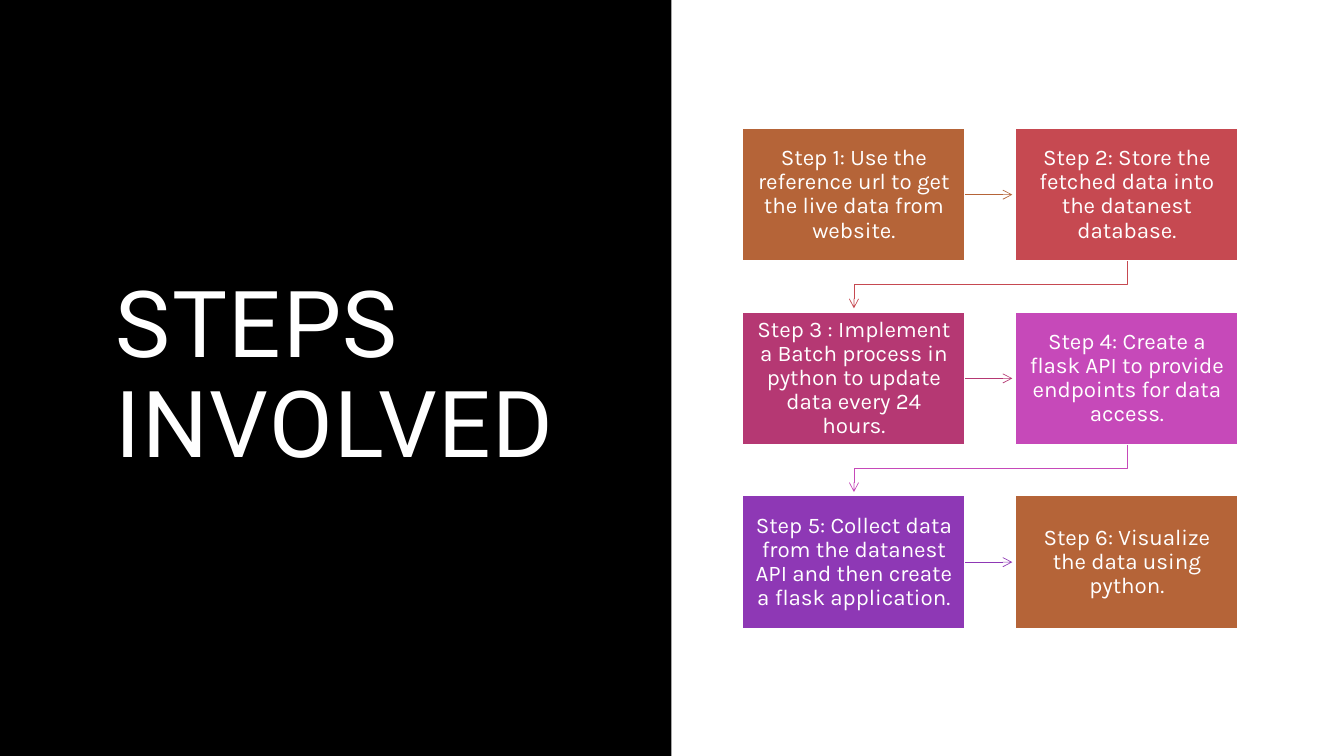
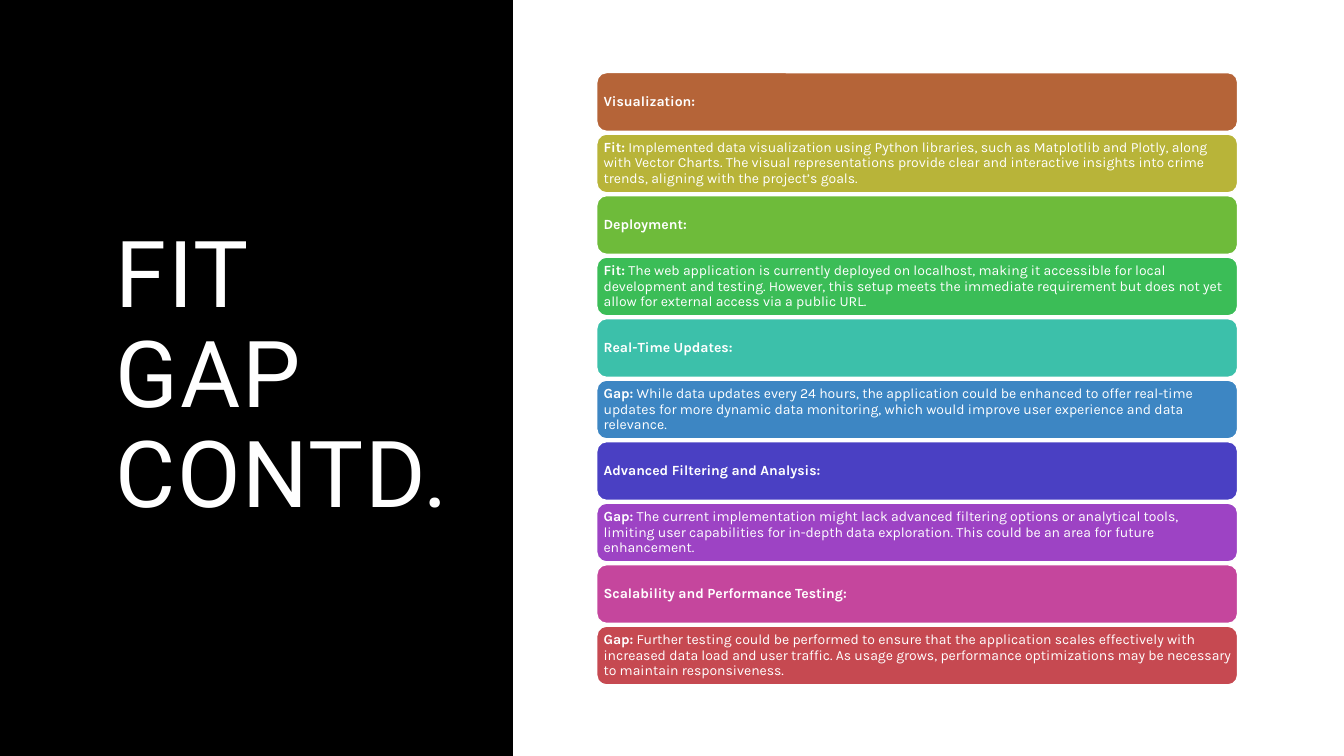
"""Build two slides: the project steps as a flow, and the fit-gap list."""
from lxml.etree import SubElement
from pptx import Presentation
from pptx.dml.color import RGBColor
from pptx.enum.shapes import MSO_CONNECTOR, MSO_SHAPE
from pptx.enum.text import MSO_ANCHOR, PP_ALIGN
from pptx.oxml.ns import qn
from pptx.util import Cm, Pt

BLACK, WHITE = "000000", "FFFFFF"
TITLE_FONT, BODY_FONT = "Roboto", "Karla"


def color(value):
    return RGBColor.from_string(value)


def add_box(page, kind, left, top, width, height, fill, outline=None):
    box = page.shapes.add_shape(kind, Cm(left), Cm(top), Cm(width), Cm(height))
    box.shadow.inherit = False
    box.fill.solid()
    box.fill.fore_color.rgb = color(fill)
    if outline:
        box.line.color.rgb = color(outline)
        box.line.width = Pt(1)
    else:
        box.line.fill.background()
    return box


deck = Presentation()
deck.slide_width, deck.slide_height = Cm(33.87), Cm(19.05)

pages = []
for title, panel_width, title_width in [
    ("STEPS INVOLVED", 16.92, 12.85),
    ("FIT GAP CONTD.", 12.93, 8.9),
]:
    page = deck.slides.add_slide(deck.slide_layouts[6])
    add_box(page, MSO_SHAPE.RECTANGLE, 0, 0, panel_width, 19.05, BLACK)
    box = page.shapes.add_textbox(Cm(2.67), Cm(1.78), Cm(title_width), Cm(15.47))
    frame = box.text_frame
    frame.word_wrap = True
    frame.vertical_anchor = MSO_ANCHOR.MIDDLE
    para = frame.paragraphs[0]
    para.line_spacing = 0.9
    span = para.add_run()
    span.text = title
    span.font.name = TITLE_FONT
    span.font.size = Pt(66)
    span.font.color.rgb = color(WHITE)
    span.font._element.set("spc", "120")
    pages.append(page)
steps_page, gap_page = pages

steps = [
    ("Step 1: Use the reference url to get the live data from website.", "B56438"),
    ("Step 2: Store the fetched data into the datanest database.", "C64951"),
    ("Step 3 : Implement a Batch process in python to update data every 24 hours.", "B53873"),
    ("Step 4: Create a flask API to provide endpoints for data access.", "C649B9"),
    ("Step 5: Collect data from the datanest API and then create a flask application.", "8E38B5"),
    ("Step 6: Visualize the data using python.", "B56438"),
]
step_left, step_top = 18.72, 3.23
step_width, step_height = 5.6, 3.35
column_pitch, row_pitch = 6.88, 4.63
arrow_gap = 0.09

step_boxes = []
for index, (text, fill) in enumerate(steps):
    row, column = divmod(index, 2)
    box = add_box(steps_page, MSO_SHAPE.RECTANGLE,
                  step_left + column * column_pitch, step_top + row * row_pitch,
                  step_width, step_height, fill, WHITE)
    frame = box.text_frame
    frame.word_wrap = True
    frame.vertical_anchor = MSO_ANCHOR.MIDDLE
    frame.margin_left = frame.margin_right = Cm(0.28)
    frame.margin_top = frame.margin_bottom = Cm(0.28)
    para = frame.paragraphs[0]
    para.text = text
    para.alignment = PP_ALIGN.CENTER
    para.line_spacing = 0.9
    para.font.name = BODY_FONT
    para.font.size = Pt(16)
    para.font.color.rgb = color(WHITE)
    step_boxes.append(box)

for index, (box, target) in enumerate(zip(step_boxes, step_boxes[1:])):
    if index % 2 == 0:
        middle = box.top + box.height // 2
        arrow = steps_page.shapes.add_connector(
            MSO_CONNECTOR.STRAIGHT, box.left + box.width, middle,
            target.left - Cm(arrow_gap), middle)
        arrow.begin_connect(box, 3)
    else:
        start_x, start_y = box.left + box.width // 2, box.top + box.height
        end_x, end_y = target.left + target.width // 2, target.top - Cm(arrow_gap)
        center_x, center_y = (start_x + end_x) // 2, (start_y + end_y) // 2
        half_drop, half_run = (end_y - start_y) // 2, (start_x - end_x) // 2
        arrow = steps_page.shapes.add_connector(
            MSO_CONNECTOR.ELBOW, center_x - half_drop, center_y - half_run,
            center_x + half_drop, center_y + half_run)
        arrow._element.spPr.find(qn("a:xfrm")).set("rot", "5400000")
    arrow.line.color.rgb = color(steps[index][1])
    arrow.line.width = Pt(0.5)
    properties = arrow._element.spPr
    SubElement(properties.find(qn("a:ln")), qn("a:tailEnd"), type="arrow")
    SubElement(properties, qn("a:effectLst"))

findings = [
    ("Visualization:", "", "B56438"),
    ("Fit:", "Implemented data visualization using Python libraries, such as Matplotlib and "
     "Plotly, along with Vector Charts. The visual representations provide clear and "
     "interactive insights into crime trends, aligning with the project’s goals.", "B8B439"),
    ("Deployment:", "", "6EBB3A"),
    ("Fit:", "The web application is currently deployed on localhost, making it accessible "
     "for local development and testing. However, this setup meets the immediate requirement "
     "but does not yet allow for external access via a public URL.", "3BBD57"),
    ("Real-Time Updates:", "", "3CC0AA"),
    ("Gap:", "While data updates every 24 hours, the application could be enhanced to offer "
     "real-time updates for more dynamic data monitoring, which would improve user experience "
     "and data relevance.", "3D86C3"),
    ("Advanced Filtering and Analysis:", "", "4A40C3"),
    ("Gap:", "The current implementation might lack advanced filtering options or analytical "
     "tools, limiting user capabilities for in-depth data exploration. This could be an area "
     "for future enhancement.", "9D43C4"),
    ("Scalability and Performance Testing:", "", "C5469D"),
    ("Gap:", "Further testing could be performed to ensure that the application scales "
     "effectively with increased data load and user traffic. As usage grows, performance "
     "optimizations may be necessary to maintain responsiveness.", "C64951"),
]
for index, (label, detail, fill) in enumerate(findings):
    box = add_box(gap_page, MSO_SHAPE.ROUNDED_RECTANGLE,
                  15.04, 1.83 + index * 1.55, 16.15, 1.48, fill, WHITE)
    frame = box.text_frame
    frame.word_wrap = True
    frame.vertical_anchor = MSO_ANCHOR.MIDDLE
    frame.margin_left = frame.margin_right = Cm(0.1)
    frame.margin_top = frame.margin_bottom = Cm(0.1)
    para = frame.paragraphs[0]
    para.alignment = PP_ALIGN.LEFT
    para.line_spacing = 0.9
    para.font.name = BODY_FONT
    para.font.size = Pt(10)
    para.font.color.rgb = color(WHITE)
    span = para.add_run()
    span.text = label
    span.font.bold = True
    if detail:
        para.add_run().text = " " + detail

deck.save("out.pptx")
